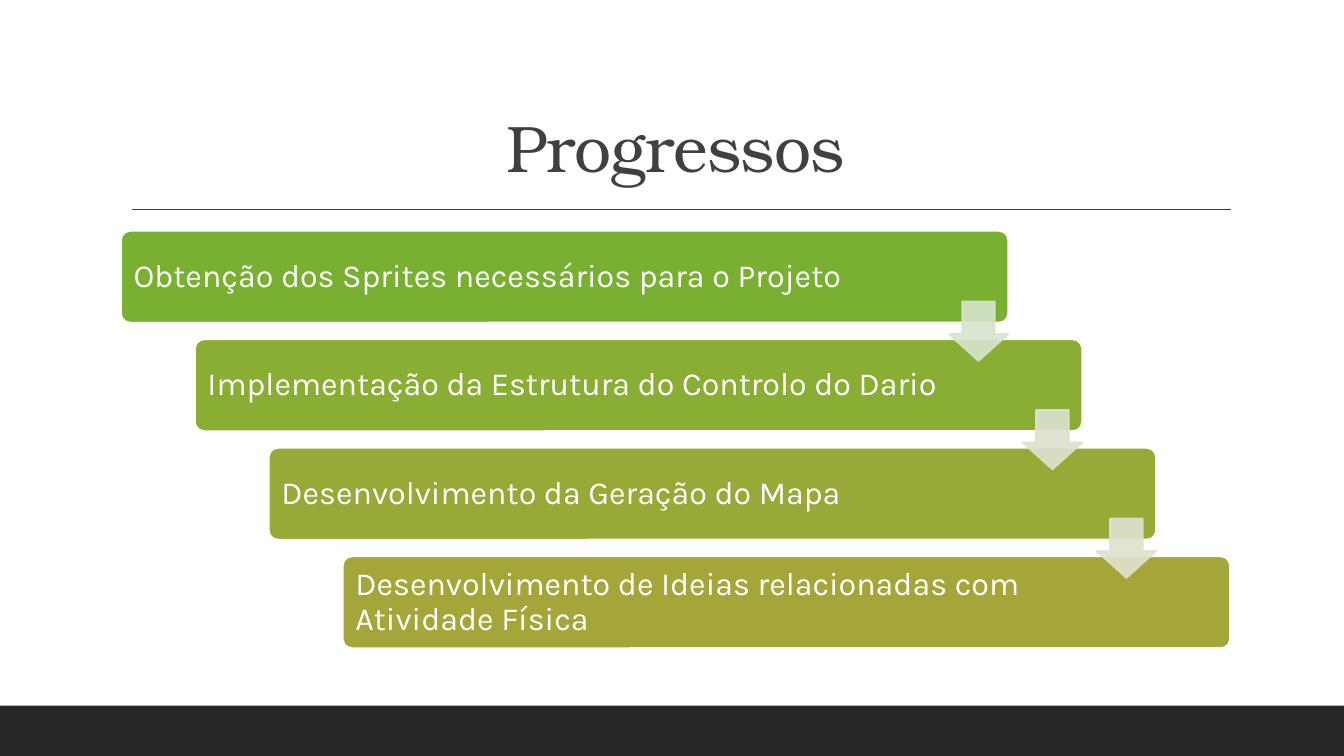
from lxml import etree
from pptx import Presentation
from pptx import util as u
from pptx.dml.color import RGBColor
from pptx.enum import shapes, text
from pptx.oxml.ns import qn

COLORS = {"ink": "404040", "footer": "262626", "white": "FFFFFF"}
STEPS = [  # wording, bar colour, colour of the arrow leading on
    ("Obtenção dos Sprites necessários para o Projeto", "7AB032", "D7E4CE"),
    ("Implementação da Estrutura do Controlo do Dario", "8AAD34", "DCE2CE"),
    ("Desenvolvimento da Geração do Mapa", "98A937", "E0E1CE"),
    ("Desenvolvimento de Ideias relacionadas com Atividade Física", "A5A639", None),
]
SLIDE_W, SLIDE_H = 13.33, 7.5
BAR_W_SHARE, BAR_H_SHARE = 0.8, 0.22
ARROW = 0.59


def rgb(value):
    return RGBColor.from_string(value)


def add_block(slide, kind, box, fill, line=None):
    block = slide.shapes.add_shape(kind, *map(u.Inches, box))
    block.shadow.inherit = False
    block.fill.solid()
    block.fill.fore_color.rgb = rgb(fill)
    if line:
        block.line.color.rgb = rgb(line)
        block.line.width = u.Pt(1.25)
    else:
        block.line.fill.background()
    return block


def write(paragraph, words, font, size, color):
    paragraph.line_spacing = 0.9
    run = paragraph.add_run()
    run.text = words
    run.font.name, run.font.size = font, u.Pt(size)
    run.font.color.rgb = rgb(color)
    return run


def add_heading(slide, box):
    left, top, width, height = box
    title = slide.shapes.title
    title.left, title.top, title.width, title.height = map(u.Inches, box)
    frame = title.text_frame
    frame.word_wrap = True
    frame.auto_size = text.MSO_AUTO_SIZE.NONE
    frame.vertical_anchor = text.MSO_ANCHOR.BOTTOM
    frame.paragraphs[0].alignment = text.PP_ALIGN.CENTER
    run = write(frame.paragraphs[0], "Progressos", "TeX Gyre Bonum", 47, COLORS["ink"])
    run.font._element.set("spc", "-50")

    # Rule under the title
    rule_y = u.Inches(top + height + 0.18)
    rule = slide.shapes.add_connector(
        shapes.MSO_CONNECTOR.STRAIGHT, u.Inches(left + 0.11), rule_y,
        u.Inches(left + width + 0.01), rule_y)
    rule.line.color.rgb = rgb(COLORS["ink"])
    rule.line.width = u.Pt(1)
    etree.SubElement(rule._element.spPr, qn("a:effectLst"))


def add_bar(slide, box, words, color):
    bar = add_block(slide, shapes.MSO_SHAPE.ROUNDED_RECTANGLE, box, color, COLORS["white"])
    bar.adjustments[0] = 0.1
    frame = bar.text_frame
    frame.word_wrap = True
    frame.vertical_anchor = text.MSO_ANCHOR.MIDDLE
    frame.margin_left = frame.margin_top = frame.margin_bottom = u.Inches(0.1)
    frame.margin_right = u.Inches(1.4)  # keeps the words clear of the arrow
    frame.paragraphs[0].alignment = text.PP_ALIGN.LEFT
    write(frame.paragraphs[0], words, "Karla", 23, COLORS["white"])


def add_arrow(slide, left, top, color):
    arrow = add_block(slide, shapes.MSO_SHAPE.DOWN_ARROW, (left, top, ARROW, ARROW), color, color)
    arrow.adjustments[0], arrow.adjustments[1] = 0.55, 0.45
    for tint in arrow._element.spPr.iter(qn("a:srgbClr")):
        etree.SubElement(tint, qn("a:alpha")).set("val", "90000")


def add_staircase(slide, box):
    left, top, width, height = box
    bar_w, bar_h = width * BAR_W_SHARE, height * BAR_H_SHARE
    step_x = (width - bar_w) / (len(STEPS) - 1)
    step_y = (height - bar_h) / (len(STEPS) - 1)
    corners = [(left + i * step_x, top + i * step_y) for i in range(len(STEPS))]

    for (x, y), (words, color, _) in zip(corners, STEPS):
        add_bar(slide, (x, y, bar_w, bar_h), words, color)
    for (x, y), (_, _, tint) in zip(corners, STEPS):
        if tint:
            add_arrow(slide, x + bar_w - ARROW, y + 0.7, tint)


def main():
    deck = Presentation()
    deck.slide_width, deck.slide_height = u.Inches(SLIDE_W), u.Inches(SLIDE_H)
    slide = deck.slides.add_slide(deck.slide_layouts[5])
    add_heading(slide, (1.2, 0.31, 11, 1.59))
    # Footer band
    add_block(slide, shapes.MSO_SHAPE.RECTANGLE, (0, 7, SLIDE_W, SLIDE_H - 7), COLORS["footer"])
    add_staircase(slide, (1.2, 2.29, 11, 4.14))
    deck.save("out.pptx")


if __name__ == "__main__":
    main()
